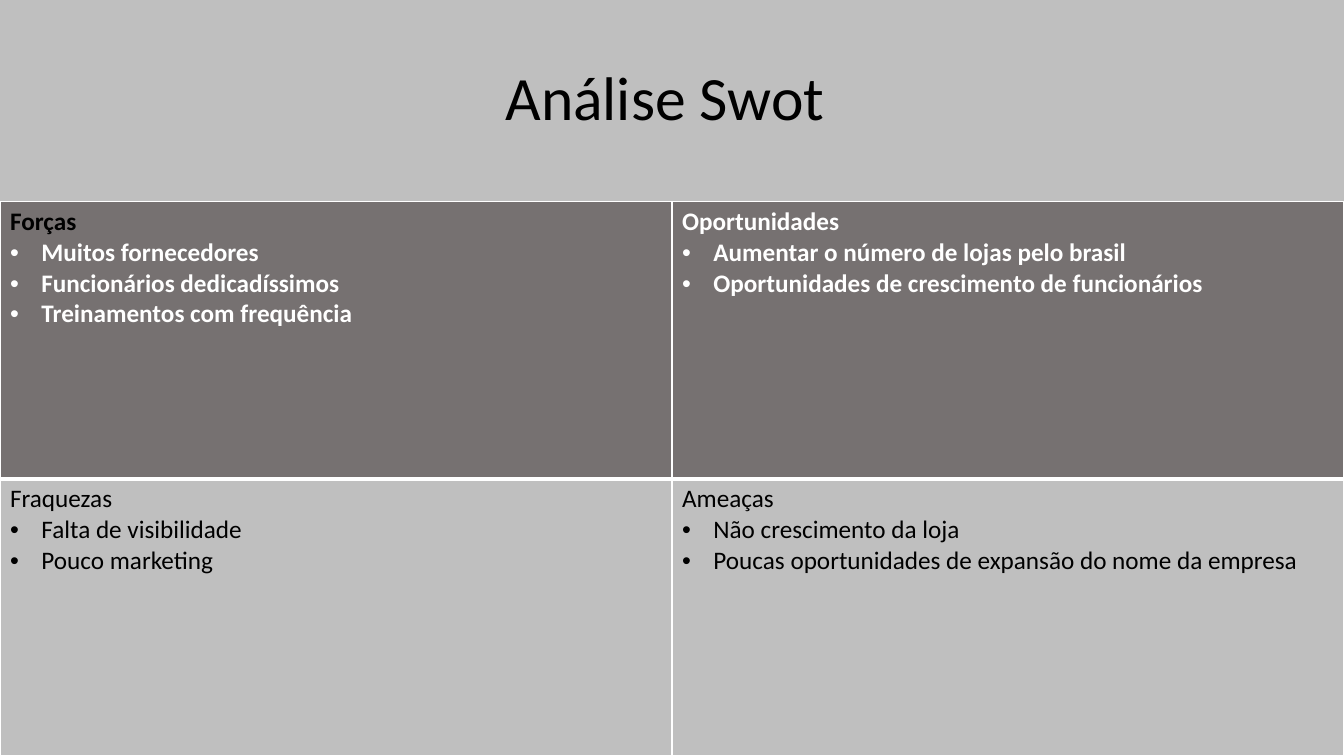
from collections import namedtuple

from lxml.etree import SubElement
from pptx import Presentation
from pptx.dml.color import RGBColor
from pptx.enum.shapes import MSO_SHAPE as Shape
from pptx.enum.text import MSO_ANCHOR as Anchor, PP_ALIGN as Align
from pptx.oxml.ns import qn
from pptx.util import Cm, Pt

Box = namedtuple("Box", "left top width height")
Quadrant = namedtuple("Quadrant", "heading items heading_color")

FONT = "Calibri"
BLACK, WHITE = "000000", "FFFFFF"
LIGHT_GRAY, DARK_GRAY = "BFBFBF", "767171"
PAGE_WIDTH, PAGE_HEIGHT, TITLE_HEIGHT = Cm(33.87), Cm(19.05), Cm(5.08)
BULLET_INDENT = Cm(0.79)

SWOT = [
    [
        Quadrant("Forças", ["Muitos fornecedores", "Funcionários dedicadíssimos",
                            "Treinamentos com frequência"], BLACK),
        Quadrant("Oportunidades", ["Aumentar o número de lojas pelo brasil",
                                   "Oportunidades de crescimento de funcionários"], WHITE),
    ],
    [
        Quadrant("Fraquezas", ["Falta de visibilidade", "Pouco marketing"], BLACK),
        Quadrant("Ameaças", ["Não crescimento da loja",
                             "Poucas oportunidades de expansão do nome da empresa"], BLACK),
    ],
]
# Per row: fill, item colour, bold, top and bottom border in points
ROW_STYLES = [(DARK_GRAY, WHITE, True, 1, 3), (LIGHT_GRAY, BLACK, False, 3, 1)]


def paint(color_format, hex_color):
    color_format.rgb = RGBColor.from_string(hex_color)


def fill_solid(target, hex_color):
    target.fill.solid()
    paint(target.fill.fore_color, hex_color)


def style_text(para, size, hex_color, bold=False):
    for span in para.runs:
        span.font.name = FONT
        span.font.size = Pt(size)
        span.font.bold = bold
        paint(span.font.color, hex_color)


def add_bullet(para):
    properties = para._p.get_or_add_pPr()
    properties.set("marL", str(BULLET_INDENT))
    properties.set("indent", str(-BULLET_INDENT))
    SubElement(properties, qn("a:buFont"), typeface="Arial")
    SubElement(properties, qn("a:buChar"), char="•")


def set_borders(cell, top, bottom):
    properties = cell._tc.get_or_add_tcPr()
    for side, points in (("L", 1), ("R", 1), ("T", top), ("B", bottom)):
        line = SubElement(properties, qn(f"a:ln{side}"), w=str(Pt(points)))
        solid = SubElement(line, qn("a:solidFill"))
        SubElement(solid, qn("a:srgbClr"), val=WHITE)


def add_title(page, box, text):
    banner = page.shapes.add_shape(Shape.RECTANGLE, *box)
    banner.shadow.inherit = False
    fill_solid(banner, LIGHT_GRAY)
    banner.line.fill.background()
    frame = banner.text_frame
    frame.text = text
    frame.word_wrap = True
    frame.vertical_anchor = Anchor.MIDDLE
    para = frame.paragraphs[0]
    para.alignment = Align.CENTER
    para.line_spacing = 0.9
    style_text(para, 44, BLACK)


def fill_quadrant(cell, quadrant, row_style):
    fill, item_color, bold, top, bottom = row_style
    set_borders(cell, top, bottom)
    fill_solid(cell, fill)
    cell.text_frame.text = "\n".join([quadrant.heading, *quadrant.items])
    heading, *items = cell.text_frame.paragraphs
    style_text(heading, 18, quadrant.heading_color, bold)
    for para in items:
        add_bullet(para)
        style_text(para, 18, item_color, bold)


def add_swot_table(page, box, quadrants):
    table = page.shapes.add_table(len(quadrants), len(quadrants[0]), *box).table
    for row, (row_quadrants, row_style) in enumerate(zip(quadrants, ROW_STYLES)):
        for column, quadrant in enumerate(row_quadrants):
            fill_quadrant(table.cell(row, column), quadrant, row_style)


def main():
    deck = Presentation()
    deck.slide_width, deck.slide_height = PAGE_WIDTH, PAGE_HEIGHT
    page = deck.slides.add_slide(deck.slide_layouts[6])
    add_title(page, Box(0, 0, PAGE_WIDTH, TITLE_HEIGHT), "Análise Swot ")
    add_swot_table(page, Box(0, TITLE_HEIGHT, PAGE_WIDTH, PAGE_HEIGHT - TITLE_HEIGHT), SWOT)
    deck.save("out.pptx")


if __name__ == "__main__":
    main()
